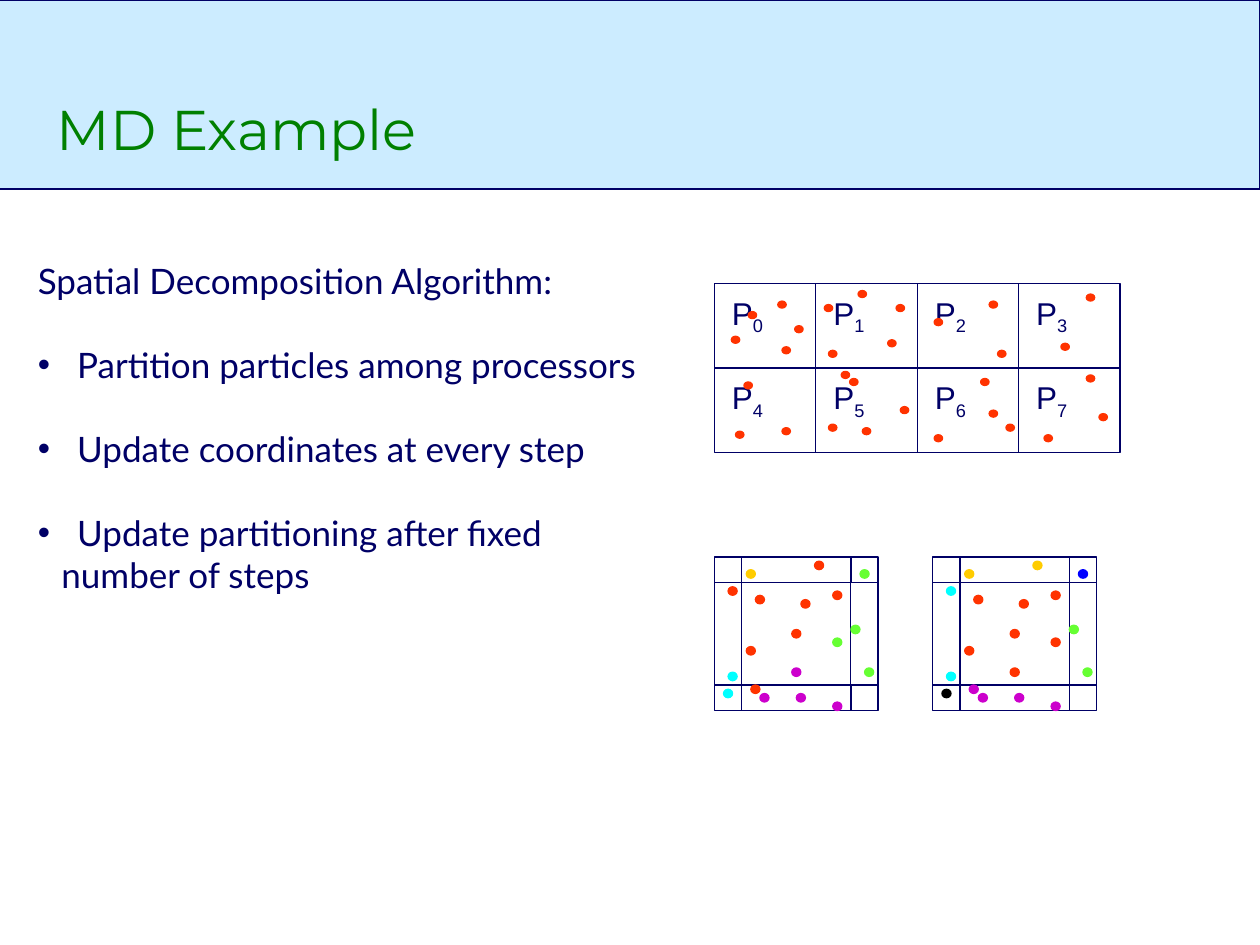
from lxml import etree
from pptx import Presentation
from pptx.dml.color import RGBColor
from pptx.enum import shapes, text
from pptx.oxml import ns
from pptx.util import Pt

NAVY = RGBColor(0x00, 0x00, 0x66)
GREEN = RGBColor(0x00, 0x80, 0x00)
SKY = RGBColor(0xCC, 0xEC, 0xFF)
RED = RGBColor(0xFF, 0x33, 0x00)
PURPLE = RGBColor(0xCC, 0x00, 0xCC)
LIME = RGBColor(0x66, 0xFF, 0x33)
CYAN = RGBColor(0x00, 0xFF, 0xFF)
GOLD = RGBColor(0xFF, 0xCC, 0x00)
BLUE = RGBColor(0x00, 0x00, 0xFF)
BLACK = RGBColor(0x00, 0x00, 0x00)

TITLE = "MD Example"
# text, bulleted, left margin, space before
BODY = [
    ("Spatial Decomposition Algorithm:", False, 0, 0),
    ("Partition particles among processors", True, 22.5, 24),
    ("Update coordinates at every step", True, 22.5, 24),
    ("Update partitioning after fixed", True, 22.5, 24),
    ("number of steps", False, 13.5, 0),
]

# Particle positions are in lattice steps from the top left of each diagram.
COLUMNS, ROWS, CELL = 4, 2, 24
GRID_LEFT, GRID_TOP = 408.24, 162
GRID_STEP = (2.415, 2.01)
GRID_PARTICLES = [
    (8, 8), (4, 15), (15, 5), (16, 18), (7, 28), (27, 19), (26, 6), (34, 2),
    (43, 6), (52, 10), (65, 5), (67, 19), (82, 17), (88, 26), (91, 37),
    (5, 42), (19, 12), (16, 41), (30, 25), (32, 27), (27, 40), (44, 35),
    (41, 16), (63, 27), (35, 41), (65, 36), (52, 43), (88, 3), (69, 40),
    (78, 43),
]

HALO, PANEL = 6, 36
PANEL_LEFTS, PANEL_TOP = (408.24, 533.04), 318.24
PANEL_STEP = (2.6, 2.44)
# column, row, colour in the first panel, colour in the second panel
PANEL_PARTICLES = [
    (9, 9, RED, RED), (7, 21, RED, RED), (19, 10, RED, RED),
    (17, 26, PURPLE, RED), (17, 17, RED, RED), (26, 19, LIME, RED),
    (22, 1, RED, GOLD), (32, 3, LIME, BLUE), (30, 16, LIME, LIME),
    (33, 26, LIME, LIME), (18, 32, PURPLE, PURPLE), (26, 34, PURPLE, PURPLE),
    (8, 30, RED, PURPLE), (10, 32, PURPLE, PURPLE), (2, 31, CYAN, BLACK),
    (3, 27, CYAN, CYAN), (3, 7, RED, CYAN), (7, 3, GOLD, GOLD),
    (26, 8, RED, RED),
]


class Lattice:
    """Draws into a group, with places counted in steps from an origin."""

    def __init__(self, group, left, top, step):
        self.group, self.left, self.top, self.step = group, left, top, step

    def point(self, column, row):
        return (Pt(self.left + column * self.step[0]),
                Pt(self.top + row * self.step[1]))

    def shape(self, kind, column, row, width, height, fill=None):
        x, y = self.point(column, row)
        right, bottom = self.point(column + width, row + height)
        shape = self.group.shapes.add_shape(kind, x, y, right - x, bottom - y)
        paint(shape, fill, fill or NAVY)

    def box(self, column, row, width, height):
        self.shape(shapes.MSO_SHAPE.RECTANGLE, column, row, width, height)

    def particle(self, column, row, colour):
        self.shape(shapes.MSO_SHAPE.OVAL, column, row, 2, 2, colour)

    def line(self, start, end):
        line = self.group.shapes.add_connector(
            shapes.MSO_CONNECTOR.STRAIGHT, *self.point(*start), *self.point(*end))
        line.line.color.rgb = NAVY
        line.line.width = Pt(0.75)
        etree.SubElement(line._element.spPr, ns.qn("a:effectLst"))


def paint(shape, fill, line, width=0.75):
    shape.shadow.inherit = False
    if fill is None:
        shape.fill.background()
    else:
        shape.fill.solid()
        shape.fill.fore_color.rgb = fill
    shape.line.color.rgb = line
    shape.line.width = Pt(width)


def style(font, name, size, colour):
    font.name, font.size, font.color.rgb = name, Pt(size), colour


def add_header(page):
    banner = page.shapes.add_shape(
        shapes.MSO_SHAPE.RECTANGLE, Pt(-2), 0, Pt(722), Pt(108))
    paint(banner, SKY, NAVY, 1.5)
    page.shapes._spTree.insert(2, banner._element)

    title = page.shapes.title
    title.left, title.top, title.width, title.height = (
        Pt(25.2), Pt(18), Pt(598.3), Pt(77.8))
    frame = title.text_frame
    frame.text = TITLE
    frame.vertical_anchor = text.MSO_ANCHOR.BOTTOM
    frame.paragraphs[0].alignment = text.PP_ALIGN.LEFT
    style(frame.paragraphs[0].runs[0].font, "Montserrat", 32, GREEN)


def add_body(page):
    frame = page.shapes.add_textbox(
        Pt(7.2), Pt(137.5), Pt(388), Pt(220.3)).text_frame
    frame.word_wrap = True
    frame.margin_left = frame.margin_right = Pt(14.4)
    frame.margin_top = frame.margin_bottom = Pt(10.8)
    for index, (line, bulleted, margin, before) in enumerate(BODY):
        para = frame.add_paragraph() if index else frame.paragraphs[0]
        para.text = line
        para.space_before = Pt(before)
        properties = para._p.get_or_add_pPr()
        properties.set("marL", str(Pt(margin)))
        if bulleted:
            properties.set("indent", str(-Pt(margin)))
            etree.SubElement(properties, ns.qn("a:buFont"), typeface="Arial")
            etree.SubElement(properties, ns.qn("a:buChar"), char="•")
        style(para.runs[0].font, "Lato", 20, NAVY)


def add_label(group, left, top, number):
    frame = group.shapes.add_textbox(
        Pt(left), Pt(top), Pt(32.4), Pt(31.7)).text_frame
    frame.word_wrap = False
    para = frame.paragraphs[0]
    for part in ("P", str(number)):
        span = para.add_run()
        span.text = part
        style(span.font, "Arial", 18, NAVY)
    span._r.get_or_add_rPr().set("baseline", "-25000")


def add_processor_grid(page):
    group = page.shapes.add_group_shape()
    grid = Lattice(group, GRID_LEFT, GRID_TOP, GRID_STEP)
    width, height = COLUMNS * CELL, ROWS * CELL
    grid.box(0, 0, width, height)
    for row in range(CELL, height, CELL):
        grid.line((0, row), (width, row))
    for column in range(CELL, width, CELL):
        grid.line((column, 0), (column, height))
    for number in range(COLUMNS * ROWS):
        row, column = divmod(number, COLUMNS)
        add_label(group, GRID_LEFT + 2.9 + column * CELL * GRID_STEP[0],
                  GRID_TOP + 2.2 + row * CELL * GRID_STEP[1], number)
    for column, row in GRID_PARTICLES:
        grid.particle(column, row, RED)


def add_halo_panels(page):
    group = page.shapes.add_group_shape()
    inner = PANEL - 2 * HALO
    edges = ((0, HALO), (PANEL - HALO, PANEL))
    for index, left in enumerate(PANEL_LEFTS):
        panel = Lattice(group, left, PANEL_TOP, PANEL_STEP)
        panel.box(HALO, HALO, inner, inner)
        panel.box(0, 0, PANEL, PANEL)
        for side in (HALO, PANEL - HALO):
            for start, end in edges:
                panel.line((start, side), (end, side))
                panel.line((side, start), (side, end))
        for column, row, *colours in PANEL_PARTICLES:
            panel.particle(column, row, colours[index])


def main():
    deck = Presentation()
    deck.slide_width, deck.slide_height = Pt(720), Pt(540)
    page = deck.slides.add_slide(deck.slide_layouts[5])
    add_header(page)
    add_halo_panels(page)
    add_processor_grid(page)
    add_body(page)
    deck.save("out.pptx")


if __name__ == "__main__":
    main()
